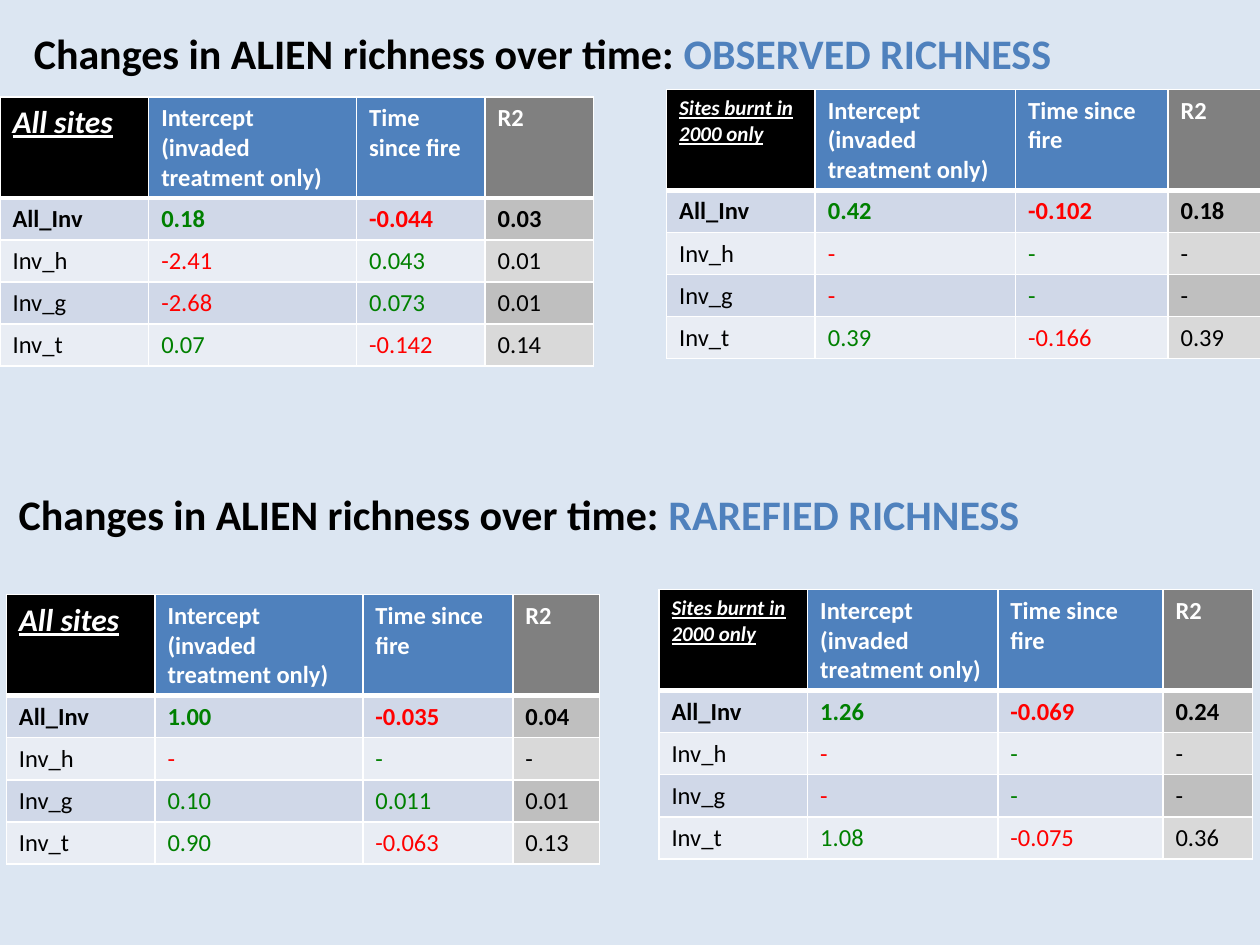
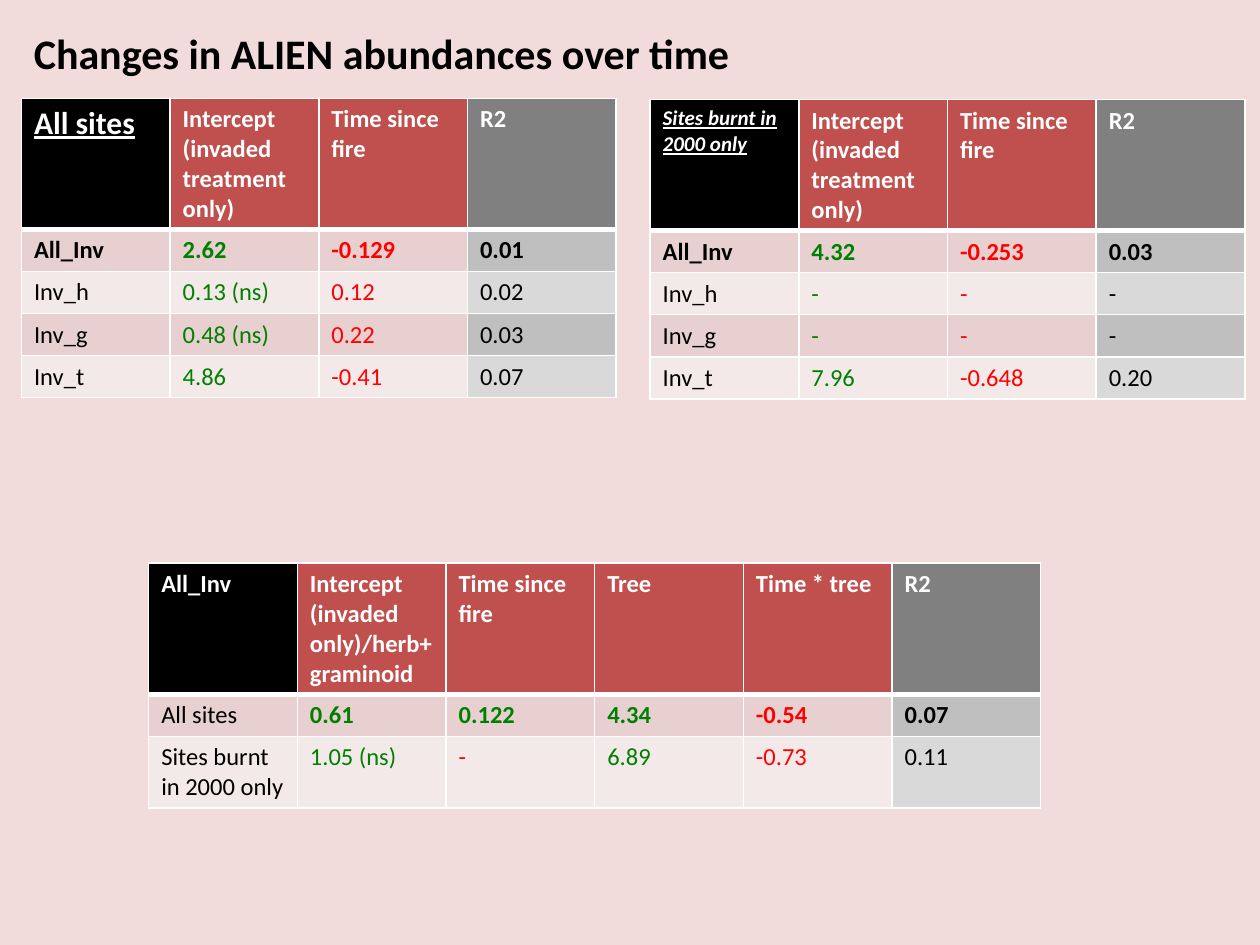
from dataclasses import dataclass
from typing import NamedTuple

from lxml.etree import SubElement
from pptx import Presentation
from pptx.dml.color import RGBColor
from pptx.enum.text import MSO_AUTO_SIZE
from pptx.oxml.ns import qn
from pptx.slide import Slide
from pptx.table import _Cell
from pptx.text.text import Font
from pptx.util import Inches, Pt

BLACK = RGBColor(0x00, 0x00, 0x00)
WHITE = RGBColor(0xFF, 0xFF, 0xFF)
GREEN = RGBColor(0x00, 0x80, 0x00)
RED = RGBColor(0xFF, 0x00, 0x00)
BLUE = RGBColor(0x4F, 0x81, 0xBD)
BRICK = RGBColor(0xC0, 0x50, 0x4D)
HEADER_GREY = RGBColor(0x80, 0x80, 0x80)
GREY_BANDS = (RGBColor(0xBF, 0xBF, 0xBF), RGBColor(0xD9, 0xD9, 0xD9))

FONT = "Calibri"
TONES = {"G": GREEN, "R": RED, "K": BLACK}
BODY_HEIGHT = 0.33
ALL_SITES = "All sites"
BURNT_2000 = "Sites burnt in 2000 only"
MODEL_HEADINGS = ("Intercept (invaded treatment only)", "Time since fire", "R2")


class Theme(NamedTuple):
    """Colours that set one slide apart from another."""

    background: RGBColor
    header: RGBColor
    bands: tuple[RGBColor, RGBColor]


class Title(NamedTuple):
    """A slide heading with an optional accented ending."""

    left: float
    top: float
    text: str
    accent: str = ""


class Corner(NamedTuple):
    """The text and style of a table's top left cell."""

    text: str
    size: int
    italic: bool = False
    underline: bool = False


class Row(NamedTuple):
    """A row of model results, with one tone letter per value."""

    label: str
    values: tuple[str, ...]
    tones: str


@dataclass(frozen=True)
class ModelTable:
    """A table of model coefficients and its place on the slide."""

    left: float
    top: float
    columns: tuple[float, ...]
    header_height: float
    corner: Corner
    rows: tuple[Row, ...]
    headings: tuple[str, ...] = MODEL_HEADINGS
    bold_label: bool = True
    last_height: float = BODY_HEIGHT


RICHNESS = Theme(
    RGBColor(0xDC, 0xE6, 0xF2), BLUE,
    (RGBColor(0xD0, 0xD8, 0xE8), RGBColor(0xE9, 0xED, 0xF4)),
)
ABUNDANCE = Theme(
    RGBColor(0xF2, 0xDC, 0xDB), BRICK,
    (RGBColor(0xE8, 0xD0, 0xD0), RGBColor(0xF4, 0xE9, 0xE9)),
)

ALL_CORNER = Corner(ALL_SITES, 18, italic=True, underline=True)
BURNT_CORNER = Corner(BURNT_2000, 12, italic=True, underline=True)
EVEN_COLUMNS = (1.18,) * 4
NONE = ("-", "-", "-")

RICHNESS_TITLES = (
    Title(0.17, 0.17, "Changes in ALIEN richness over time: ", "OBSERVED RICHNESS"),
    Title(0.05, 3.83, "Changes in ALIEN richness over time: ", "RAREFIED RICHNESS"),
)
RICHNESS_TABLES = (
    ModelTable(0, 0.77, (1.18, 1.65, 1.02, 0.86), 0.8, ALL_CORNER, (
        Row("All_Inv", ("0.18", "-0.044", "0.03"), "GRK"),
        Row("Inv_h", ("-2.41", "0.043", "0.01"), "RGK"),
        Row("Inv_g", ("-2.68", "0.073", "0.01"), "RGK"),
        Row("Inv_t", ("0.07", "-0.142", "0.14"), "GRK"),
    )),
    ModelTable(5.29, 0.71, (1.18, 1.59, 1.21, 0.74), 0.8, BURNT_CORNER, (
        Row("All_Inv", ("0.42", "-0.102", "0.18"), "GRK"),
        Row("Inv_h", NONE, "RGK"),
        Row("Inv_g", NONE, "RGK"),
        Row("Inv_t", ("0.39", "-0.166", "0.39"), "GRK"),
    )),
    ModelTable(0.05, 4.72, (1.18, 1.65, 1.19, 0.69), 0.8, ALL_CORNER, (
        Row("All_Inv", ("1.00", "-0.035", "0.04"), "GRK"),
        Row("Inv_h", NONE, "RGK"),
        Row("Inv_g", ("0.10", "0.011", "0.01"), "GGK"),
        Row("Inv_t", ("0.90", "-0.063", "0.13"), "GRK"),
    )),
    ModelTable(5.23, 4.68, (1.18, 1.51, 1.31, 0.71), 0.8, BURNT_CORNER, (
        Row("All_Inv", ("1.26", "-0.069", "0.24"), "GRK"),
        Row("Inv_h", NONE, "RGK"),
        Row("Inv_g", NONE, "RGK"),
        Row("Inv_t", ("1.08", "-0.075", "0.36"), "GRK"),
    )),
)

ABUNDANCE_TITLES = (Title(0.17, 0.17, "Changes in ALIEN abundances over time"),)
ABUNDANCE_TABLES = (
    ModelTable(0.17, 0.78, EVEN_COLUMNS, 1.04, Corner(ALL_SITES, 18, underline=True), (
        Row("All_Inv", ("2.62", "-0.129", "0.01"), "GRK"),
        Row("Inv_h", ("0.13 (ns)", "0.12", "0.02"), "GRK"),
        Row("Inv_g", ("0.48 (ns)", "0.22", "0.03"), "GRK"),
        Row("Inv_t", ("4.86", "-0.41", "0.07"), "GRK"),
    )),
    ModelTable(5.16, 0.79, EVEN_COLUMNS, 1.04, BURNT_CORNER, (
        Row("All_Inv", ("4.32", "-0.253", "0.03"), "GRK"),
        Row("Inv_h", NONE, "GRK"),
        Row("Inv_g", NONE, "GRK"),
        Row("Inv_t", ("7.96", "-0.648", "0.20"), "GRK"),
    )),
    ModelTable(
        1.18, 4.47, (1.18,) * 6, 1.04, Corner("All_Inv", 14), (
            Row(ALL_SITES, ("0.61", "0.122", "4.34", "-0.54", "0.07"), "GGGRK"),
            Row(BURNT_2000, ("1.05 (ns)", "-", "6.89", "-0.73", "0.11"), "GRGRK"),
        ),
        headings=("Intercept (invaded only)/herb+graminoid", "Time since fire",
                  "Tree", "Time * tree", "R2"),
        bold_label=False,
        last_height=0.56,
    ),
)


def style_font(font: Font, size: int, color: RGBColor, bold: bool) -> None:
    """Set the shared typeface with a size, colour and weight."""
    font.name = FONT
    font.size = Pt(size)
    font.color.rgb = color
    font.bold = bold


def draw_title(page: Slide, title: Title) -> None:
    """Draw a heading whose ending may be accented."""
    box = page.shapes.add_textbox(
        Inches(title.left), Inches(title.top), Inches(9.83), Inches(0.5))
    frame = box.text_frame
    frame.word_wrap = True
    frame.auto_size = MSO_AUTO_SIZE.SHAPE_TO_FIT_TEXT
    para = frame.paragraphs[0]
    style_font(para.font, 24, BLACK, True)
    para.add_run().text = title.text
    if title.accent:
        span = para.add_run()
        span.text = title.accent
        span.font.color.rgb = BLUE


def draw_borders(cell: _Cell, top: int, bottom: int) -> None:
    """Give a cell white borders, with its own top and bottom widths."""
    properties = cell._tc.get_or_add_tcPr()
    for side, width in (("L", 1), ("R", 1), ("T", top), ("B", bottom)):
        line = SubElement(properties, qn(f"a:ln{side}"), w=str(Pt(width)))
        fill = SubElement(line, qn("a:solidFill"))
        SubElement(fill, qn("a:srgbClr"), val=str(WHITE))


def fill_cell(cell: _Cell, text: str, fill: RGBColor, color: RGBColor,
              bold: bool, size: int = 14) -> Font:
    """Fill a cell with colour and text, and return its font."""
    cell.fill.solid()
    cell.fill.fore_color.rgb = fill
    cell.text = text
    font = cell.text_frame.paragraphs[0].font
    style_font(font, size, color, bold)
    return font


def draw_table(page: Slide, model: ModelTable, theme: Theme) -> None:
    """Draw a model table with a header row and banded results."""
    heights = [model.header_height] + [BODY_HEIGHT] * len(model.rows)
    heights[-1] = model.last_height
    table = page.shapes.add_table(
        len(heights), len(model.columns), Inches(model.left), Inches(model.top),
        Inches(sum(model.columns)), Inches(sum(heights))).table
    for column, width in zip(table.columns, model.columns):
        column.width = Inches(width)
    for number, height in enumerate(heights):
        table.rows[number].height = Inches(height)
        for cell in table.rows[number].cells:
            draw_borders(cell, 3 if number == 1 else 1, 3 if number == 0 else 1)

    corner = model.corner
    font = fill_cell(table.cell(0, 0), corner.text, BLACK, WHITE, True, corner.size)
    font.italic = corner.italic
    font.underline = corner.underline
    last = len(model.headings)
    for column, heading in enumerate(model.headings, 1):
        fill = HEADER_GREY if column == last else theme.header
        fill_cell(table.cell(0, column), heading, fill, WHITE, True)

    for number, row in enumerate(model.rows, 1):
        band = (number - 1) % 2
        bold = number == 1
        fill_cell(table.cell(number, 0), row.label, theme.bands[band], BLACK,
                  bold and model.bold_label)
        for column, (value, tone) in enumerate(zip(row.values, row.tones), 1):
            fill = (GREY_BANDS if column == last else theme.bands)[band]
            fill_cell(table.cell(number, column), value, fill, TONES[tone], bold)


def main() -> None:
    """Build and save the deck."""
    deck = Presentation()
    deck.slide_width = Inches(10)
    deck.slide_height = Inches(7.5)
    for theme, titles, models in (
        (RICHNESS, RICHNESS_TITLES, RICHNESS_TABLES),
        (ABUNDANCE, ABUNDANCE_TITLES, ABUNDANCE_TABLES),
    ):
        page = deck.slides.add_slide(deck.slide_layouts[6])
        page.background.fill.solid()
        page.background.fill.fore_color.rgb = theme.background
        for title in titles:
            draw_title(page, title)
        for model in models:
            draw_table(page, model, theme)
    deck.save("out.pptx")


if __name__ == "__main__":
    main()
